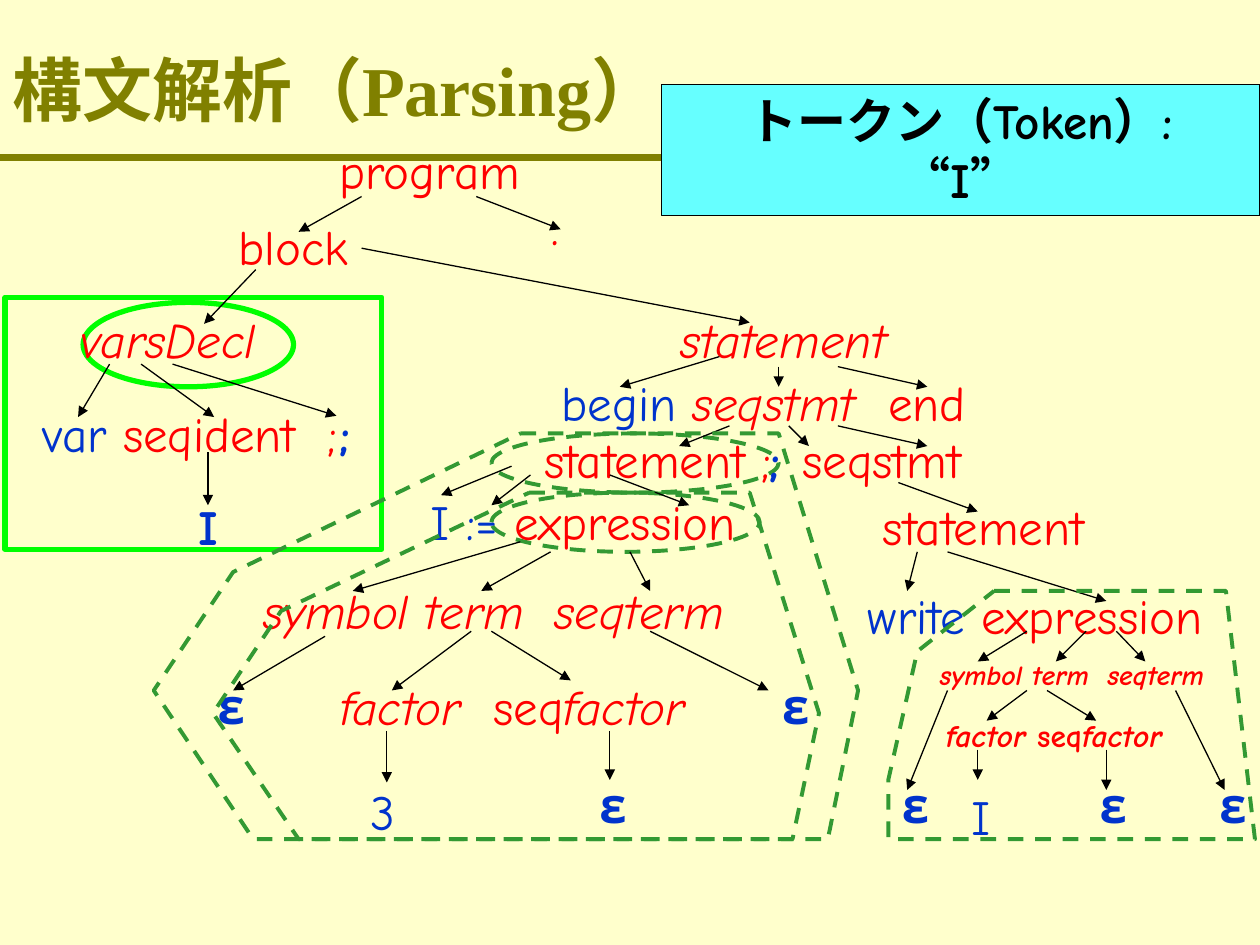
"""Build a slide showing a parse tree with its sub-trees outlined."""
import pptx
import pptx.dml.color
import pptx.enum.dml
import pptx.enum.shapes
import pptx.enum.text
import pptx.oxml
import pptx.oxml.ns
import pptx.util

SHAPE = pptx.enum.shapes.MSO_SHAPE
ANCHOR = pptx.enum.text.MSO_ANCHOR
ALIGN = pptx.enum.text.PP_ALIGN
COMIC, TIMES = "Comic Neue", "Times New Roman"
OLIVE, BLACK, RED, BLUE = "808000", "000000", "FF0000", "0033CC"
LIME, GREEN, CYAN, CREAM = "00FF00", "339933", "66FFFF", "FFFFCC"

NODE = (RED, False, False)
NODE_ITALIC = (RED, False, True)
NODE_BOLD = (RED, True, False)
NODE_BOLD_ITALIC = (RED, True, True)
TOKEN = (BLUE, False, False)
TOKEN_BOLD = (BLUE, True, False)
HEADING = (OLIVE, True, False)
LABEL = (BLACK, True, False)

CENTERED_NODES = [("program", 2.45, 1.07), (".", 3.45, 1.51), ("block", 1.37, 1.67)]
NODES = [
    (0.54, 2.41, 1.75, 28, [("varsDecl", NODE_ITALIC)]),
    (5.3, 2.41, 1.95, 28, [("statement", NODE_ITALIC)]),
    (0.24, 3.15, 2.35, 28, [("var", TOKEN), (" seqident", NODE)]),
    (2.5, 3.15, 0.3, 28, [(";", NODE)]),
    (4.36, 2.91, 2.65, 28, [("begin ", TOKEN), ("seqstmt", NODE_ITALIC)]),
    (6.95, 2.91, 0.95, 28, [("end", NODE)]),
    (4.22, 3.36, 2.2, 28, [("statement ;", NODE)]),
    (6.27, 3.36, 1.65, 28, [("seqstmt", NODE)]),
    (3.32, 3.85, 2.75, 28, [("I :=", TOKEN), (" expression", NODE)]),
    (1.99, 4.56, 2.4, 28, [("symbol term", NODE_ITALIC)]),
    (4.3, 4.56, 1.7, 28, [("seqterm", NODE_ITALIC)]),
    (2.6, 5.32, 1.35, 28, [("factor", NODE_ITALIC)]),
    (3.82, 5.32, 1.85, 28, [("seq", NODE), ("factor", NODE_ITALIC)]),
    (2.84, 6.15, 0.39, 28, [("3", TOKEN)]),
    (6.91, 3.89, 1.9, 28, [("statement", NODE)]),
    (6.79, 4.6, 3, 28, [("write", TOKEN), (" expression", NODE)]),
    (7.36, 5.17, 1.55, 16, [("symbol term", NODE_BOLD_ITALIC)]),
    (8.69, 5.17, 1.15, 16, [("seqterm", NODE_BOLD_ITALIC)]),
    (7.41, 5.63, 2, 18, [("factor", NODE_BOLD_ITALIC), (" seq", NODE_BOLD),
                         ("factor", NODE_BOLD_ITALIC)]),
    (7.61, 6.19, 0.35, 28, [("I", TOKEN)]),
]
BOLD_TOKENS = [
    ("I", 1.48, 3.89), (";", 2.6, 3.15), (";", 6.01, 3.36),
    ("ε", 1.63, 5.31), ("ε", 6.11, 5.31), ("ε", 4.66, 6.1),
    ("ε", 7.06, 6.1), ("ε", 8.63, 6.1), ("ε", 9.58, 6.1),
]
ARROWS = {
    "program": [(2.87, 1.56, 2.37, 1.84), (3.78, 1.56, 4.45, 1.82)],
    "block": [(2.03, 2.14, 1.62, 2.57), (2.87, 1.97, 5.95, 2.56)],
    "varsDecl": [(0.87, 2.89, 0.62, 3.31), (1.12, 2.89, 1.7, 3.31),
                 (1.37, 2.89, 2.67, 3.3), (1.65, 3.59, 1.65, 4.01)],
    "statement": [(5.71, 2.83, 4.92, 3.07), (6.18, 2.91, 6.18, 3.07),
                  (6.65, 2.91, 7.36, 3.07)],
    "seqstmt": [(5.79, 3.38, 5.39, 3.54), (6.26, 3.38, 6.42, 3.54),
                (6.65, 3.38, 7.36, 3.54), (7.13, 3.83, 7.76, 4.06)],
    "assignment": [(4.06, 3.7, 3.5, 3.93), (4.21, 3.77, 3.9, 4.01),
                   (4.84, 3.77, 5.47, 4.01)],
    "expression": [(4.13, 4.3, 2.8, 4.69), (4.37, 4.38, 3.82, 4.69),
                   (5, 4.38, 5.16, 4.69)],
    "term": [(2.58, 5.05, 1.85, 5.48), (3.74, 5.01, 3.11, 5.48),
             (3.9, 5.01, 4.53, 5.4), (5.16, 5.01, 6.1, 5.48)],
    "factor": [(3.07, 5.8, 3.07, 6.21), (4.84, 5.8, 4.84, 6.19)],
    "write": [(7.28, 4.38, 7.2, 4.69), (7.52, 4.38, 8.78, 4.77)],
    "written expression": [(8.15, 5.01, 7.76, 5.25), (8.62, 5.01, 8.38, 5.25),
                           (8.86, 5.01, 9.09, 5.25)],
    "written term": [(7.52, 5.48, 7.2, 6.27), (8.15, 5.48, 7.83, 5.72),
                     (8.31, 5.48, 8.7, 5.72), (9.33, 5.48, 9.72, 6.27)],
    "written factor": [(7.76, 5.95, 7.76, 6.19), (8.78, 5.95, 8.78, 6.27)],
}
FRAMES = [
    (SHAPE.RECTANGLE, 0.04, 2.36, 2.99, 2, LIME, 3, False),
    (SHAPE.OVAL, 0.66, 2.4, 1.67, 0.67, LIME, 3, False),
    (SHAPE.OVAL, 3.9, 3.91, 2.13, 0.47, GREEN, 2.25, True),
    (SHAPE.OVAL, 3.9, 3.44, 2.28, 0.47, GREEN, 2.25, True),
]
SUBTREES = [
    [(7.89, 4.69), (9.73, 4.69), (9.96, 6.66), (7.05, 6.66), (7.05, 6.19), (7.28, 5.17)],
    [(4.2, 3.91), (5.95, 3.91), (6.5, 5.66), (6.29, 6.66), (2.37, 6.66), (1.69, 5.66),
     (2.23, 4.85)],
    [(4.13, 3.44), (6.18, 3.44), (6.81, 5.48), (6.57, 6.66), (2.01, 6.66), (1.22, 5.48),
     (1.85, 4.54)],
]


def length(inches):
    """Turn inches into a slide length."""
    return pptx.util.Cm(inches * 2.54)


def color(value):
    """Turn a hex string into a colour."""
    return pptx.dml.color.RGBColor.from_string(value)


def add_runs(paragraph, runs, size, font_name=COMIC):
    """Add styled runs to a paragraph."""
    for text, (hex_color, bold, italic) in runs:
        run = paragraph.add_run()
        run.text = text
        run.font.name = font_name
        run.font.size = pptx.util.Pt(size)
        run.font.bold, run.font.italic = bold, italic
        run.font.color.rgb = color(hex_color)


def add_text(slide, left, top, width, size, runs, height=0.57, align=ALIGN.LEFT,
             font_name=COMIC, anchor=ANCHOR.TOP):
    """Add a text box holding one paragraph."""
    box = slide.shapes.add_textbox(*map(length, (left, top, width, height)))
    box.text_frame.word_wrap = True
    box.text_frame.vertical_anchor = anchor
    paragraph = box.text_frame.paragraphs[0]
    paragraph.alignment = align
    add_runs(paragraph, runs, size, font_name)


def add_line(slide, points, hex_color=BLACK, width=0.75, arrow=True):
    """Add a straight line, with an arrowhead at its end if wanted."""
    connector = slide.shapes.add_connector(
        pptx.enum.shapes.MSO_CONNECTOR.STRAIGHT, *map(length, points))
    connector.line.color.rgb = color(hex_color)
    connector.line.width = pptx.util.Pt(width)
    if arrow:
        line = connector.line._get_or_add_ln()
        line.append(pptx.oxml.parse_xml(
            f'<a:tailEnd {pptx.oxml.ns.nsdecls("a")} type="triangle"/>'))
    connector._element.spPr.append(
        pptx.oxml.parse_xml(f'<a:effectLst {pptx.oxml.ns.nsdecls("a")}/>'))


def outline(shape, hex_color, width, dashed):
    """Leave a shape unfilled and draw its outline."""
    shape.shadow.inherit = False
    shape.fill.background()
    shape.line.color.rgb = color(hex_color)
    shape.line.width = pptx.util.Pt(width)
    if dashed:
        shape.line.dash_style = pptx.enum.dml.MSO_LINE.DASH


def add_token_box(slide):
    """Add the box that names the current token."""
    shape = slide.shapes.add_shape(SHAPE.RECTANGLE, *map(length, (5.25, 0.67, 4.75, 1.04)))
    outline(shape, BLACK, 0.75, False)
    shape.fill.solid()
    shape.fill.fore_color.rgb = color(CYAN)
    shape.text_frame.word_wrap = True
    shape.text_frame.vertical_anchor = ANCHOR.TOP
    paragraph = shape.text_frame.paragraphs[0]
    paragraph.alignment = ALIGN.CENTER
    add_runs(paragraph, [("トークン（Token）:", LABEL)], 28)
    paragraph.add_line_break()
    add_runs(paragraph, [("“I”", LABEL)], 28)


def main():
    """Draw the slide and save it."""
    presentation = pptx.Presentation()
    presentation.slide_width, presentation.slide_height = length(10), length(7.5)
    slide = presentation.slides.add_slide(presentation.slide_layouts[6])
    slide.background.fill.solid()
    slide.background.fill.fore_color.rgb = color(CREAM)
    add_line(slide, (0, 1.25, 10, 1.25), OLIVE, 4.5, False)
    add_text(slide, 0, 0.08, 10, 40, [("構文解析（Parsing）", HEADING)], height=1.25,
             font_name=TIMES, anchor=ANCHOR.MIDDLE)
    add_token_box(slide)
    for kind, left, top, width, height, *style in FRAMES:
        shape = slide.shapes.add_shape(kind, *map(length, (left, top, width, height)))
        outline(shape, *style)
    for text, left, top in CENTERED_NODES:
        add_text(slide, left, top, 1.92, 28, [(text, NODE)], align=ALIGN.CENTER)
    for left, top, width, size, runs in NODES:
        add_text(slide, left, top, width, size, runs, height=0.57 if size == 28 else 0.4)
    for text, left, top in BOLD_TOKENS:
        add_text(slide, left, top, 0.33, 28, [(text, TOKEN_BOLD)])
    for arrows in ARROWS.values():
        for points in arrows:
            add_line(slide, points)
    for corners in SUBTREES:
        start, *rest = [tuple(map(length, corner)) for corner in corners]
        builder = slide.shapes.build_freeform(*start)
        builder.add_line_segments(rest, close=True)
        outline(builder.convert_to_shape(), GREEN, 2.25, True)
    presentation.save("out.pptx")


if __name__ == "__main__":
    main()
